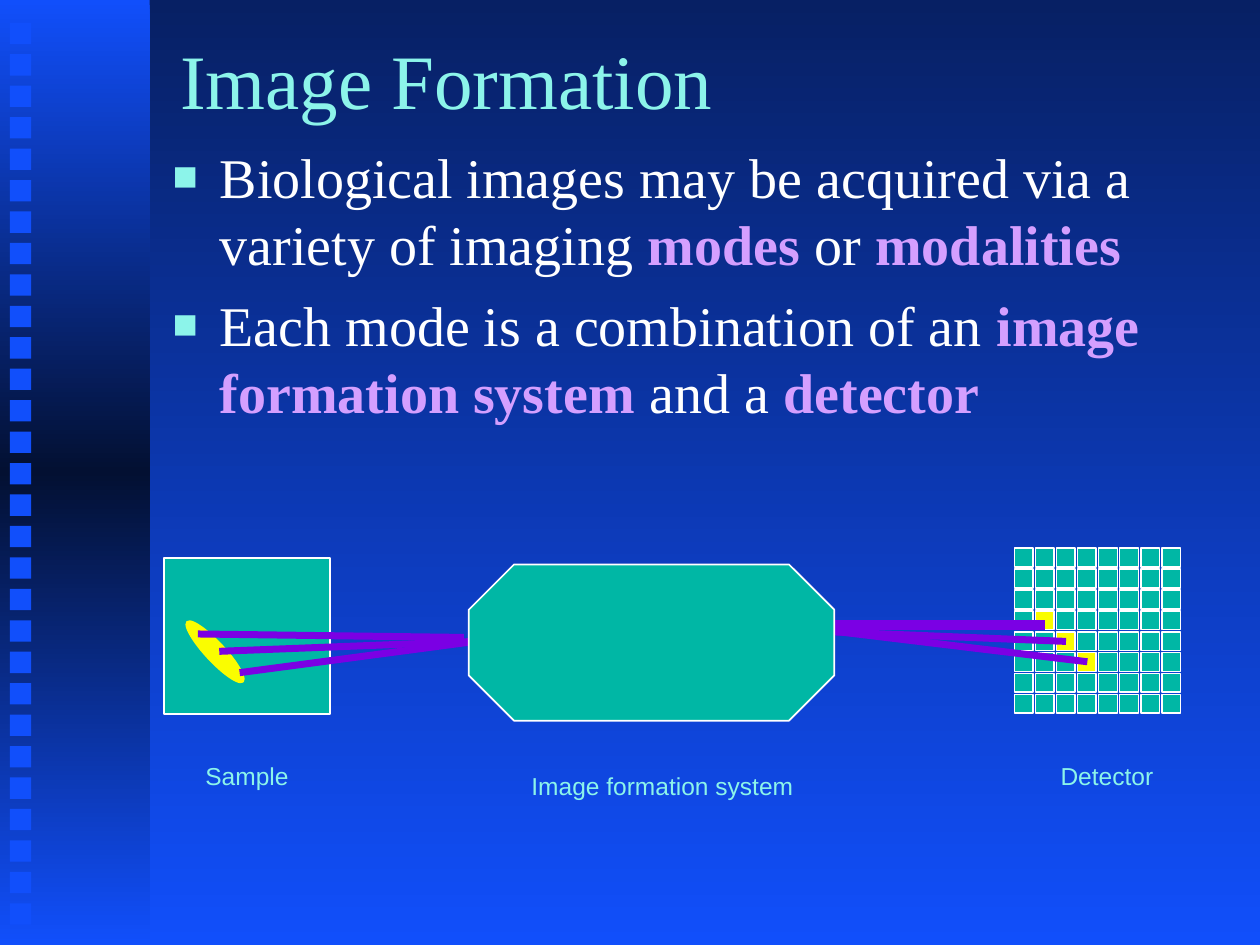
from dataclasses import dataclass

import pptx
import pptx.dml.color
import pptx.enum.shapes
import pptx.enum.text
import pptx.oxml
import pptx.oxml.ns
import pptx.slide
import pptx.util
from lxml import etree
from pptx.dml.color import RGBColor
from pptx.util import Cm

NAVY = RGBColor(0x07, 0x20, 0x64)
MIDNIGHT = RGBColor(0x03, 0x10, 0x32)
BLUE = RGBColor(0x11, 0x4F, 0xFB)
AQUA = RGBColor(0x8C, 0xF4, 0xEA)
TEAL = RGBColor(0x00, 0xB7, 0xA5)
YELLOW = RGBColor(0xFA, 0xFD, 0x00)
PURPLE = RGBColor(0x7B, 0x00, 0xE4)
LILAC = RGBColor(0xD4, 0x9F, 0xFF)
WHITE = RGBColor(0xFF, 0xFF, 0xFF)
SERIF, SANS = "Times New Roman", "Arial"

SHAPES = pptx.enum.shapes.MSO_SHAPE
ALIGN = pptx.enum.text.PP_ALIGN
ANCHOR = pptx.enum.text.MSO_ANCHOR
qn = pptx.oxml.ns.qn


@dataclass(frozen=True)
class Box:
    """Position and size in centimetres."""
    left: float
    top: float
    width: float
    height: float

    def lengths(self) -> tuple[Cm, Cm, Cm, Cm]:
        return Cm(self.left), Cm(self.top), Cm(self.width), Cm(self.height)


@dataclass(frozen=True)
class Ray:
    """A light ray: ends in centimetres, width in points."""
    start: tuple[float, float]
    end: tuple[float, float]
    width: float = 4


@dataclass(frozen=True)
class Label:
    text: str
    box: Box
    align: ALIGN = ALIGN.LEFT


@dataclass(frozen=True)
class Piece:
    """A stretch of body text; key terms are bold and lilac."""
    text: str
    key: bool = False


RAYS = [
    Ray((21.06, 12.6), (16.61, 12.6), 6),
    Ray((21.49, 12.93), (16.61, 12.73)),
    Ray((21.92, 13.34), (16.61, 12.7)),
    Ray((4.83, 13.56), (9.58, 12.93)),
    Ray((4.42, 13.13), (9.58, 12.93)),
    Ray((3.99, 12.78), (9.35, 12.85)),
]
LABELS = [
    Label("Sample", Box(3.89, 15.21, 2.18, 0.84)),
    Label("Image formation system", Box(10.46, 15.42, 5.79, 0.84), ALIGN.CENTER),
    Label("Detector", Box(21.13, 15.21, 2.39, 0.84)),
]
BULLETS = [
    [Piece("Biological images may be acquired via a variety of imaging "),
     Piece("modes", True), Piece(" or "), Piece("modalities", True)],
    [Piece("Each mode is a combination of an "),
     Piece("image formation system ", True), Piece("and a "), Piece("detector", True)],
]
LIT_CELLS = {(3, 1), (4, 2), (5, 3)}  # row, column


def spread(first: float, last: float, count: int) -> list[float]:
    return [first + (last - first) * i / (count - 1) for i in range(count)]


def set_gradient(fill, owner, colors: list[RGBColor]) -> None:
    """Fill from top to bottom with evenly spaced colours."""
    fill.gradient()
    fill.gradient_angle = 270
    stops = next(owner.iter(qn("a:gsLst")))
    for stop in list(stops):
        stops.remove(stop)
    for position, color in zip(spread(0, 100000, len(colors)), colors):
        stop = etree.SubElement(stops, qn("a:gs"), pos=str(int(position)))
        etree.SubElement(stop, qn("a:srgbClr"), val=str(color))


def add_shape(slide: pptx.slide.Slide, kind: SHAPES, box: Box,
              fill: RGBColor | None = None, line: RGBColor | None = None):
    shape = slide.shapes.add_shape(kind, *box.lengths())
    shape.shadow.inherit = False
    if fill is not None:
        shape.fill.solid()
        shape.fill.fore_color.rgb = fill
    if line is None:
        shape.line.fill.background()
    else:
        shape.line.color.rgb = line
        shape.line.width = pptx.util.Pt(1)
    return shape


def add_ray(slide: pptx.slide.Slide, ray: Ray) -> None:
    ends = [Cm(value) for value in ray.start + ray.end]
    connector = slide.shapes.add_connector(pptx.enum.shapes.MSO_CONNECTOR.STRAIGHT, *ends)
    connector.line.color.rgb = PURPLE
    connector.line.width = pptx.util.Pt(ray.width)
    etree.SubElement(connector._element.spPr, qn("a:effectLst"))


def add_text_frame(slide: pptx.slide.Slide, box: Box, wrap: bool = True):
    frame = slide.shapes.add_textbox(*box.lengths()).text_frame
    frame.word_wrap = wrap
    return frame


def add_run(paragraph, text: str, font: str, size: float, color: RGBColor, bold: bool = False):
    run = paragraph.add_run()
    run.text = text
    run.font.name = font
    run.font.size = pptx.util.Pt(size)
    run.font.color.rgb = color
    run.font.bold = bold
    return run


def add_text_shadow(run) -> None:
    effects = etree.Element(qn("a:effectLst"))
    shadow = etree.SubElement(effects, qn("a:outerShdw"), dist="38100", dir="2700000")
    etree.SubElement(shadow, qn("a:srgbClr"), val="000000")
    run.font._element.find(qn("a:solidFill")).addnext(effects)


def set_bullet(paragraph) -> None:
    properties = paragraph._p.get_or_add_pPr()
    properties.set("marL", str(Cm(0.95)))
    properties.set("indent", str(-Cm(0.95)))
    color = etree.SubElement(properties, qn("a:buClr"))
    etree.SubElement(color, qn("a:srgbClr"), val=str(AQUA))
    etree.SubElement(properties, qn("a:buSzPct"), val="75000")
    etree.SubElement(properties, qn("a:buFont"), typeface=SANS)
    etree.SubElement(properties, qn("a:buChar"), char="■")


def main() -> None:
    presentation = pptx.Presentation()
    presentation.slide_width, presentation.slide_height = Cm(25.4), Cm(19.05)
    slide = presentation.slides.add_slide(presentation.slide_layouts[6])

    # Background and side band
    set_gradient(slide.background.fill, slide._element, [NAVY, BLUE])
    band = add_shape(slide, SHAPES.RECTANGLE, Box(0, 0, 3.02, 19.02))
    set_gradient(band.fill, band._element, [BLUE, MIDNIGHT, BLUE])
    for top in spread(0.46, 18.21, 29):
        add_shape(slide, SHAPES.RECTANGLE, Box(0.2, top, 0.43, 0.43), BLUE)

    # Title
    frame = add_text_frame(slide, Box(3.38, 0, 21.44, 3.18))
    frame.vertical_anchor = ANCHOR.MIDDLE
    add_text_shadow(add_run(frame.paragraphs[0], "Image Formation", SERIF, 44, AQUA))

    # Bulleted text
    frame = add_text_frame(slide, Box(3.23, 2.74, 21.64, 11.43))
    for index, pieces in enumerate(BULLETS):
        paragraph = frame.add_paragraph() if index else frame.paragraphs[0]
        paragraph.space_before = pptx.util.Pt(8)
        set_bullet(paragraph)
        for piece in pieces:
            add_run(paragraph, piece.text, SERIF, 32, LILAC if piece.key else WHITE, piece.key)

    # Sample and captions
    add_shape(slide, SHAPES.RECTANGLE, Box(3.3, 11.25, 3.35, 3.15), TEAL, WHITE)
    for label in LABELS:
        paragraph = add_text_frame(slide, label.box, wrap=False).paragraphs[0]
        paragraph.alignment = label.align
        add_run(paragraph, label.text, SANS, 14, AQUA)

    # Detector grid
    for row, top in enumerate(spread(11.05, 14, 8)):
        for column, left in enumerate(spread(20.45, 23.42, 8)):
            color = YELLOW if (row, column) in LIT_CELLS else TEAL
            add_shape(slide, SHAPES.RECTANGLE, Box(left, top, 0.38, 0.38), color, WHITE)

    # Specimen, rays and the imaging system that covers their ends
    specimen = add_shape(slide, SHAPES.OVAL, Box(3.51, 12.95, 1.65, 0.38), YELLOW, YELLOW)
    specimen.rotation = 47
    for ray in RAYS:
        add_ray(slide, ray)
    system = add_shape(slide, SHAPES.OCTAGON, Box(9.45, 11.38, 7.37, 3.15), TEAL, WHITE)
    system.adjustments[0] = 0.29

    presentation.save("out.pptx")


if __name__ == "__main__":
    main()
